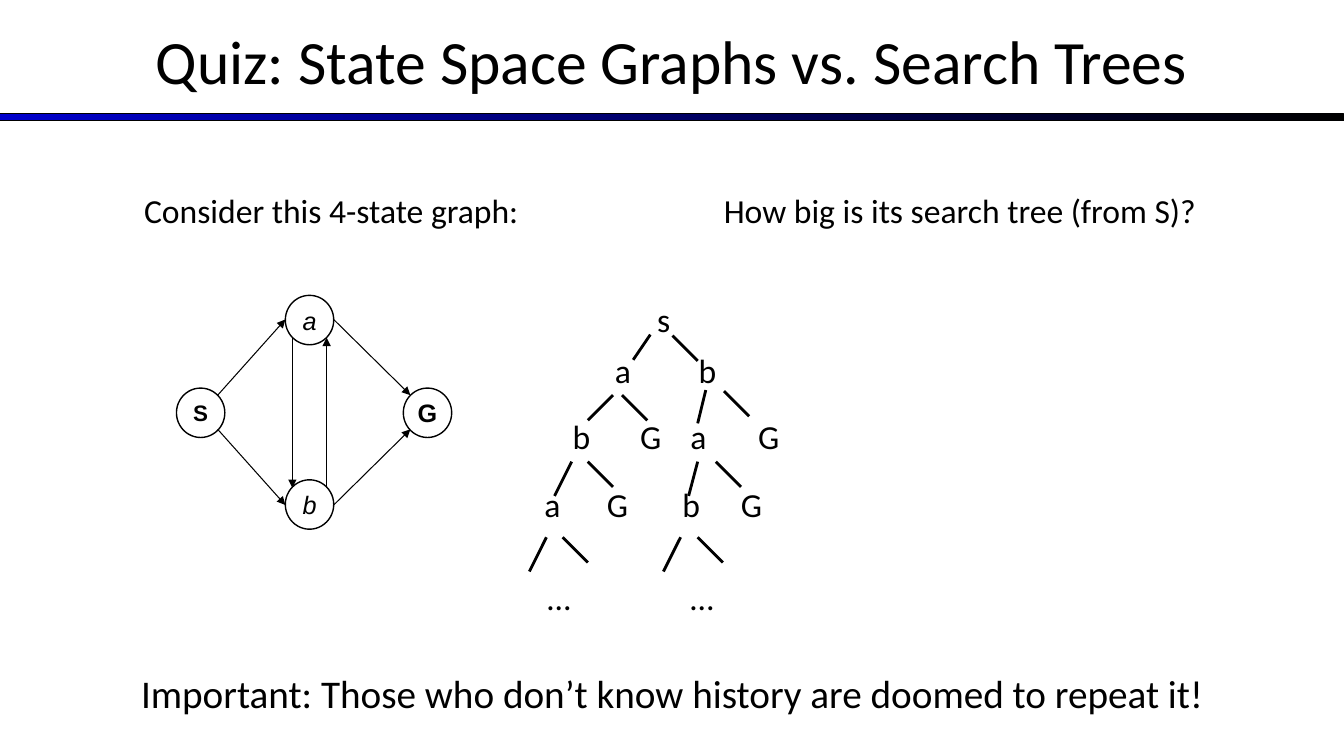
import pptx
import pptx.util
import pptx.dml.color
import pptx.enum.shapes
import pptx.enum.text
import pptx.oxml.ns
from lxml import etree

EMU_PER_PX = 9144
SLIDE_WIDTH, SLIDE_HEIGHT = 1333, 750
COLORS = {"ink": "000000", "rule": "0000CC", "paper": "FFFFFF"}
INK = pptx.dml.color.RGBColor.from_string(COLORS["ink"])
SHAPES = pptx.enum.shapes.MSO_SHAPE
ALIGN = pptx.enum.text.PP_ALIGN
MIDDLE = pptx.enum.text.MSO_ANCHOR.MIDDLE

deck = pptx.Presentation()
deck.slide_width = SLIDE_WIDTH * EMU_PER_PX
deck.slide_height = SLIDE_HEIGHT * EMU_PER_PX
page = deck.slides.add_slide(deck.slide_layouts[6])
page.background.fill.solid()
page.background.fill.fore_color.rgb = pptx.dml.color.RGBColor.from_string(COLORS["paper"])


def write(shape, text, size, font="Calibri", align=ALIGN.LEFT, wrap=True):
    frame = shape.text_frame
    frame.word_wrap = wrap
    para = frame.paragraphs[0]
    para.text = text
    para.alignment = align
    para.font.name = font
    para.font.size = pptx.util.Pt(size)
    para.font.color.rgb = INK
    return para


def draw_line(start, end, width, arrow=False):
    points = [value * EMU_PER_PX for value in (*start, *end)]
    line = page.shapes.add_connector(pptx.enum.shapes.MSO_CONNECTOR.STRAIGHT, *points)
    line.line.width = pptx.util.Pt(width)
    line.line.color.rgb = INK
    if arrow:
        outline = line.line._get_or_add_ln()
        etree.SubElement(outline, pptx.oxml.ns.qn("a:tailEnd"), type="triangle")
    etree.SubElement(line._element.spPr, pptx.oxml.ns.qn("a:effectLst"))


rule = page.shapes.add_shape(
    SHAPES.RECTANGLE, 0, 113 * EMU_PER_PX, SLIDE_WIDTH * EMU_PER_PX, 7 * EMU_PER_PX)
rule.shadow.inherit = False
rule.fill.gradient()
rule.fill.gradient_angle = 0
for stop, position, name in zip(rule.fill.gradient_stops, (0, 1), ("rule", "ink")):
    stop.position = position
    stop.color.rgb = pptx.dml.color.RGBColor.from_string(COLORS[name])
rule.line.color.rgb = INK
rule.line.width = pptx.util.Pt(0.75)

captions = [
    ("Quiz: State Space Graphs vs. Search Trees", 0, -3, SLIDE_WIDTH, 125, 44, ALIGN.CENTER),
    ("Consider this 4-state graph:", 133, 183, 425, 50, 24, ALIGN.LEFT),
    ("How big is its search tree (from S)?", 708, 183, 558, 50, 24, ALIGN.LEFT),
    ("Important: Those who don’t know history are doomed to repeat it!",
     0, 659, SLIDE_WIDTH, 57, 28, ALIGN.CENTER),
]
for text, left, top, width, height, size, align in captions:
    box = page.shapes.add_textbox(*[n * EMU_PER_PX for n in (left, top, width, height)])
    write(box, text, size, align=align)
    box.text_frame.vertical_anchor = MIDDLE

graph_states = [
    ("S", 175, 385, 16, True),
    ("G", 400, 385, 18, True),
    ("b", 283, 476, 18, False),
    ("a", 283, 293, 18, False),
]
for name, left, top, size, is_endpoint in graph_states:
    state = page.shapes.add_shape(
        SHAPES.FLOWCHART_CONNECTOR, *[n * EMU_PER_PX for n in (left, top, 48, 49)])
    state.shadow.inherit = False
    state.fill.background()
    state.line.color.rgb = INK
    state.line.width = pptx.util.Pt(1)
    para = write(state, name, size, "Arial", ALIGN.CENTER, wrap=False)
    para.font.bold = is_endpoint
    para.font.italic = not is_endpoint
    state.text_frame.vertical_anchor = MIDDLE

graph_arrows = [
    ((216, 426), (283, 501)),
    ((290, 335), (290, 484)),
    ((324, 484), (324, 335)),
    ((331, 317), (407, 392)),
    ((331, 501), (407, 426)),
    ((216, 392), (283, 317)),
]
for start, end in graph_arrows:
    draw_line(start, end, 0.75, arrow=True)

label_widths = {"s": 33, "a": 36, "b": 38, "G": 41, "…": 43}
tree_levels = {
    292: [("s", 642)],
    342: [("a", 600), ("b", 683)],
    408: [("b", 558), ("G", 625), ("a", 675), ("G", 742)],
    475: [("a", 530), ("G", 592), ("b", 667), ("G", 725)],
    567: [("…", 533), ("…", 675)],
}
for top, labels in tree_levels.items():
    for name, left in labels:
        box = page.shapes.add_textbox(
            *[n * EMU_PER_PX for n in (left, top, label_widths[name], 50)])
        write(box, name, 24, wrap=False)
        box.text_frame.auto_size = pptx.enum.text.MSO_AUTO_SIZE.SHAPE_TO_FIT_TEXT

right_branch_starts = [
    (667, 333), (617, 392), (718, 388), (583, 458), (710, 458), (558, 533), (692, 533)]
for x, y in right_branch_starts:
    draw_line((x, y), (x + 25, y + 25), 2)

left_branches = [
    ((645, 332), (628, 357)),
    ((608, 392), (583, 417)),
    ((700, 387), (692, 420)),
    ((567, 458), (550, 492)),
    ((692, 458), (683, 492)),
    ((542, 533), (525, 567)),
    ((675, 533), (658, 567)),
]
for start, end in left_branches:
    draw_line(start, end, 2)

deck.save("out.pptx")
